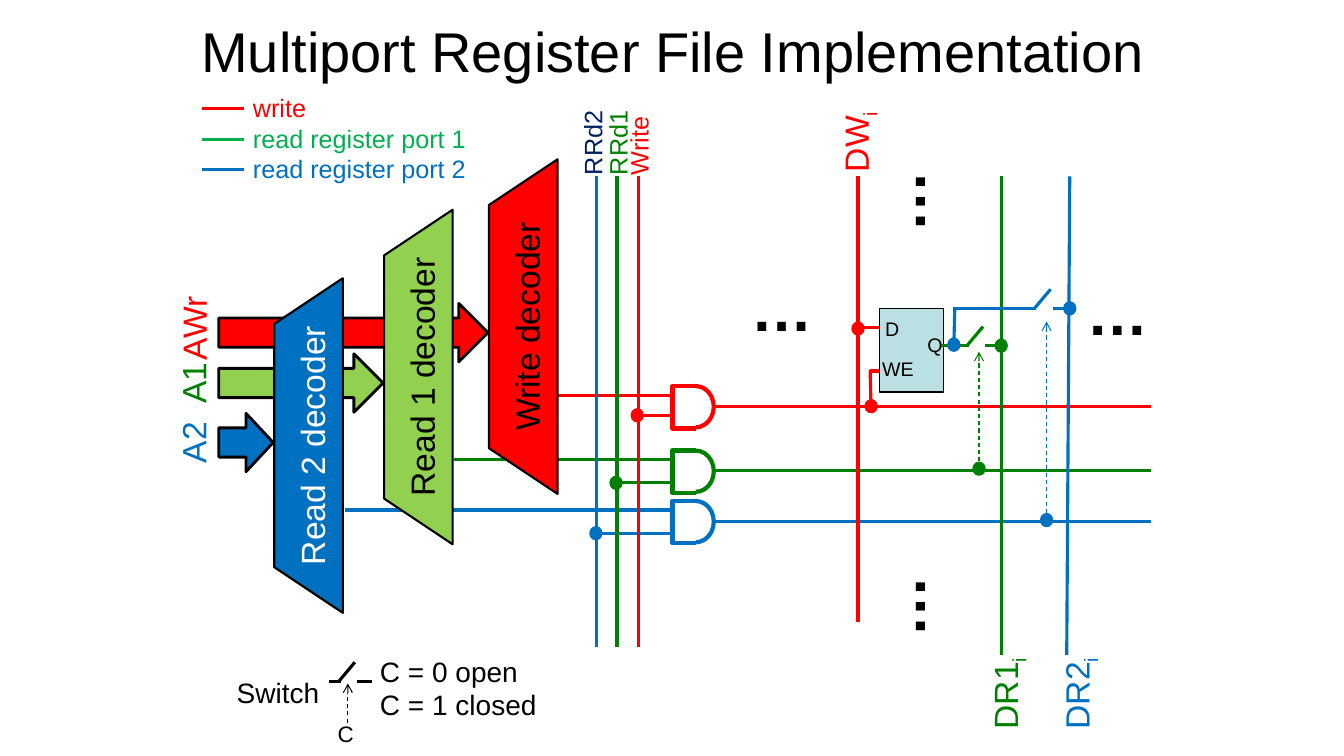
from lxml import etree
from pptx import Presentation
from pptx.dml.color import RGBColor
from pptx.enum.dml import MSO_LINE
from pptx.enum.shapes import MSO_CONNECTOR, MSO_SHAPE as SHAPE
from pptx.enum.text import MSO_ANCHOR, MSO_AUTO_SIZE as AUTO, PP_ALIGN
from pptx.oxml.ns import qn
from pptx.util import Inches, Pt

COLS, ROWS = 13.33, 7.5
RED, GREEN, BLUE = "FF0000", "008000", "0070C0"
LIME, LEAF, NAVY = "92D050", "00B050", "002060"
TEAL, BLACK, WHITE = "BBE0E3", "000000", "FFFFFF"


def rgb(value):
    return RGBColor.from_string(value)


class Board:
    font = "Arial"

    def __init__(self, prs):
        self.shapes = prs.slides.add_slide(prs.slide_layouts[6]).shapes
        self.width, self.height = prs.slide_width, prs.slide_height

    def x(self, cols):
        return int(self.width * cols / COLS)

    def y(self, rows):
        return int(self.height * rows / ROWS)

    def box(self, x, y, w, h):
        return self.x(x), self.y(y), self.x(w), self.y(h)

    def style(self, p, size, color, bold=False):
        for r in p.runs:
            r.font.name, r.font.size, r.font.bold = self.font, Pt(size), bold
            r.font.color.rgb = rgb(color)

    def line(self, x1, y1, x2, y2, color, weight=2.25):
        sp = self.shapes.add_connector(
            MSO_CONNECTOR.STRAIGHT, self.x(x1), self.y(y1), self.x(x2), self.y(y2))
        sp.line.color.rgb = rgb(color)
        sp.line.width = Pt(weight)
        etree.SubElement(sp._element.spPr, qn("a:effectLst"))
        return sp

    def control(self, x, bottom, top, color):
        sp = self.line(x, bottom, x, top, color, 0.75)
        sp.line.dash_style = MSO_LINE.DASH
        etree.SubElement(sp.line._get_or_add_ln(), qn("a:tailEnd"), type="arrow")

    def shape(self, kind, x, y, w, h, fill, line=None, weight=3.0):
        sp = self.shapes.add_shape(kind, *self.box(x, y, w, h))
        sp.shadow.inherit = False
        sp.fill.solid()
        sp.fill.fore_color.rgb = rgb(fill)
        if line:
            sp.line.color.rgb = rgb(line)
            sp.line.width = Pt(weight)
        else:
            sp.line.fill.background()
        return sp

    def dot(self, x, y, color):
        self.shape(SHAPE.OVAL, x - 0.045, y - 0.05, 0.09, 0.1, color, color)

    def text(self, text, x, y, w, h, size, color, turn=0, sub="", bold=False, wrap=False):
        sp = self.shapes.add_textbox(*self.box(x, y, w, h))
        sp.rotation = turn
        tf = sp.text_frame
        tf.text = text
        tf.word_wrap = wrap
        tf.auto_size = AUTO.SHAPE_TO_FIT_TEXT
        if sub:
            r = tf.paragraphs[0].add_run()
            r.text = sub
            r._r.get_or_add_rPr().set("baseline", "-25000")
        for p in tf.paragraphs:
            self.style(p, size, color, bold)
        return sp

    def title(self, text):
        sp = self.text(text, 1.67, 0.08, 10, 0.83, 40, BLACK, wrap=True)
        tf = sp.text_frame
        tf.auto_size = AUTO.NONE
        tf.vertical_anchor = MSO_ANCHOR.MIDDLE
        tf.paragraphs[0].alignment = PP_ALIGN.CENTER

    def gate(self, y, color):
        self.shape(SHAPE.OVAL, 6.72, y, 0.36, 0.41, WHITE, color)
        self.shape(SHAPE.RECTANGLE, 6.67, y + 0.01, 0.23, 0.39, WHITE)
        left, right, top, bottom = self.x(6.67), self.x(6.9), self.y(y), self.y(y + 0.42)
        builder = self.shapes.build_freeform(right, top)
        builder.add_line_segments([(left, top), (left, bottom), (right, bottom)], close=False)
        sp = builder.convert_to_shape()
        sp.shadow.inherit = False
        sp.fill.background()
        sp.line.color.rgb = rgb(color)
        sp.line.width = Pt(3)

    def decoder(self, text, x, y, fill, color):
        sp = self.shape(SHAPE.TRAPEZOID, x, y, 3.32, 0.68, fill, BLACK, 1.5)
        sp.adjustments[0] = 0.667
        sp.rotation = 270
        tf = sp.text_frame
        tf.text = text
        tf.word_wrap = False
        tf.vertical_anchor = MSO_ANCHOR.MIDDLE
        p = tf.paragraphs[0]
        p.alignment = PP_ALIGN.CENTER
        self.style(p, 24, color)

    def switch(self, x, y, start, end, color):
        self.line(start, y, x + 0.02, y, color)
        self.line(x + 0.16, y - 0.19, x, y, color)
        self.line(end, y, x + 0.18, y, color)


def draw_ports(b):
    ports = [
        (RED, 3.83, 6.33, 5.5, 4.12),
        (GREEN, 4.47, 6.12, 4.5, 4.79),
        (BLUE, 4.97, 5.92, 3.42, 5.29),
    ]
    for color, top, rail, feed, tap in ports:
        b.line(6.67, top + 0.09, feed, top + 0.09, color)
        b.line(11.42, top + 0.2, 6.82, top + 0.2, color)
        b.line(6.7, tap, rail, tap, color)
        b.gate(top, color)
    for color, top, rail, feed, tap in ports:
        b.line(rail, 1.75, rail, 6.42, color)
        b.dot(rail - 0.01, tap, color)
    for name, x, y, w, color in [
        ("Write", 5.94, 1.24, 0.79, RED),
        ("RRd1", 5.7, 1.21, 0.85, GREEN),
        ("RRd2", 5.45, 1.21, 0.85, NAVY),
    ]:
        b.text(name, x, y, w, 0.4, 18, color, 270)


def draw_decoders(b):
    for name, x, y, fill, ink, address, ax, ay, aw, color, length in [
        ("Write decoder", 3.53, 2.9, RED, BLACK, "AWr", 1.5, 3, 0.84, RED, 2.67),
        ("Read 1 decoder", 2.49, 3.4, LIME, BLACK, "A1", 1.61, 3.55, 0.61, GREEN, 1.63),
        ("Read 2 decoder", 1.4, 4.08, BLUE, WHITE, "A2", 1.61, 4.14, 0.61, BLUE, 0.54),
    ]:
        b.decoder(name, x, y, fill, ink)
        b.text(address, ax, ay, aw, 0.5, 24, color, 270)
        arrow_top = {"AWr": 3.01, "A1": 3.51, "A2": 4.1}[address]
        b.shape(SHAPE.RIGHT_ARROW, 2.17, arrow_top, length, 0.58, fill, BLACK, 2)


def draw_cell(b):
    b.line(8.93, 3.25, 8.56, 3.25, RED)
    b.line(8.88, 3.68, 8.63, 3.68, RED)
    b.line(8.63, 3.67, 8.64, 4.07, RED)
    b.dot(8.64, 4.03, RED)
    b.line(8.51, 1.75, 8.51, 6.17, RED)
    b.dot(8.51, 3.26, RED)
    b.shape(SHAPE.RECTANGLE, 8.72, 3.06, 0.64, 0.83, TEAL, BLACK, 0.75)
    for pin, x, y, w in [("D", 8.68, 3.09, 0.34), ("WE", 8.65, 3.49, 0.52), ("Q", 9.1, 3.25, 0.35)]:
        b.text(pin, x, y, w, 0.34, 14, BLACK)
    b.text("DW", 8.08, 1.15, 0.81, 0.5, 24, RED, 270, sub="i")
    for name, x, color, top, foot, blade, y, start, tip, tap in [
        ("DR1", 9.5, GREEN, 9.93, 9.93, 9.59, 3.43, 9.33, 3.49, 4.65),
        ("DR2", 10.21, BLUE, 10.61, 10.58, 10.26, 3.06, 9.45, 3.19, 5.16),
    ]:
        b.text(name, x, 6.62, 0.93, 0.5, 24, color, 270, sub="i")
        b.line(top, 1.75, foot, 6.5, color)
        b.switch(blade, y, start, top, color)
        b.dot(top, y, color)
        b.control(blade + 0.12, tap, tip, color)
        b.dot(blade + 0.12, tap, color)
    b.line(9.46, 3.45, 9.47, 3.05, BLUE)
    b.dot(9.46, 3.42, BLUE)
    for x, y, turn in [(8.53, 1.57, 270), (8.53, 5.59, 270), (7.35, 2.63, 0), (10.68, 2.67, 0)]:
        b.text("…", x, y, 0.82, 0.84, 44, BLACK, turn, bold=True)


def draw_legends(b):
    b.switch(3.36, 6.76, 3.26, 3.69, BLACK)
    b.control(3.45, 7.17, 6.78, BLACK)
    b.text("Switch", 2.25, 6.65, 1.03, 0.44, 20, BLACK)
    b.text("C = 0 open\nC = 1 closed", 3.67, 6.44, 1.77, 0.77, 20, BLACK)
    b.text("C", 3.25, 7.1, 0.36, 0.37, 16, BLACK)
    for i, (name, color) in enumerate([
        ("write", RED), ("read register port 1", LEAF), ("read register port 2", BLUE),
    ]):
        y = 1.08 + 0.3 * i
        b.line(2.42, y, 2, y, color)
        b.text(name, 2.41, y - 0.21, 2.42, 0.4, 18, color, wrap=True)


def main():
    prs = Presentation()
    prs.slide_width, prs.slide_height = Inches(COLS), Inches(ROWS)
    b = Board(prs)
    b.title("Multiport Register File Implementation")
    draw_ports(b)
    draw_decoders(b)
    draw_cell(b)
    draw_legends(b)
    prs.save("out.pptx")


if __name__ == "__main__":
    main()
